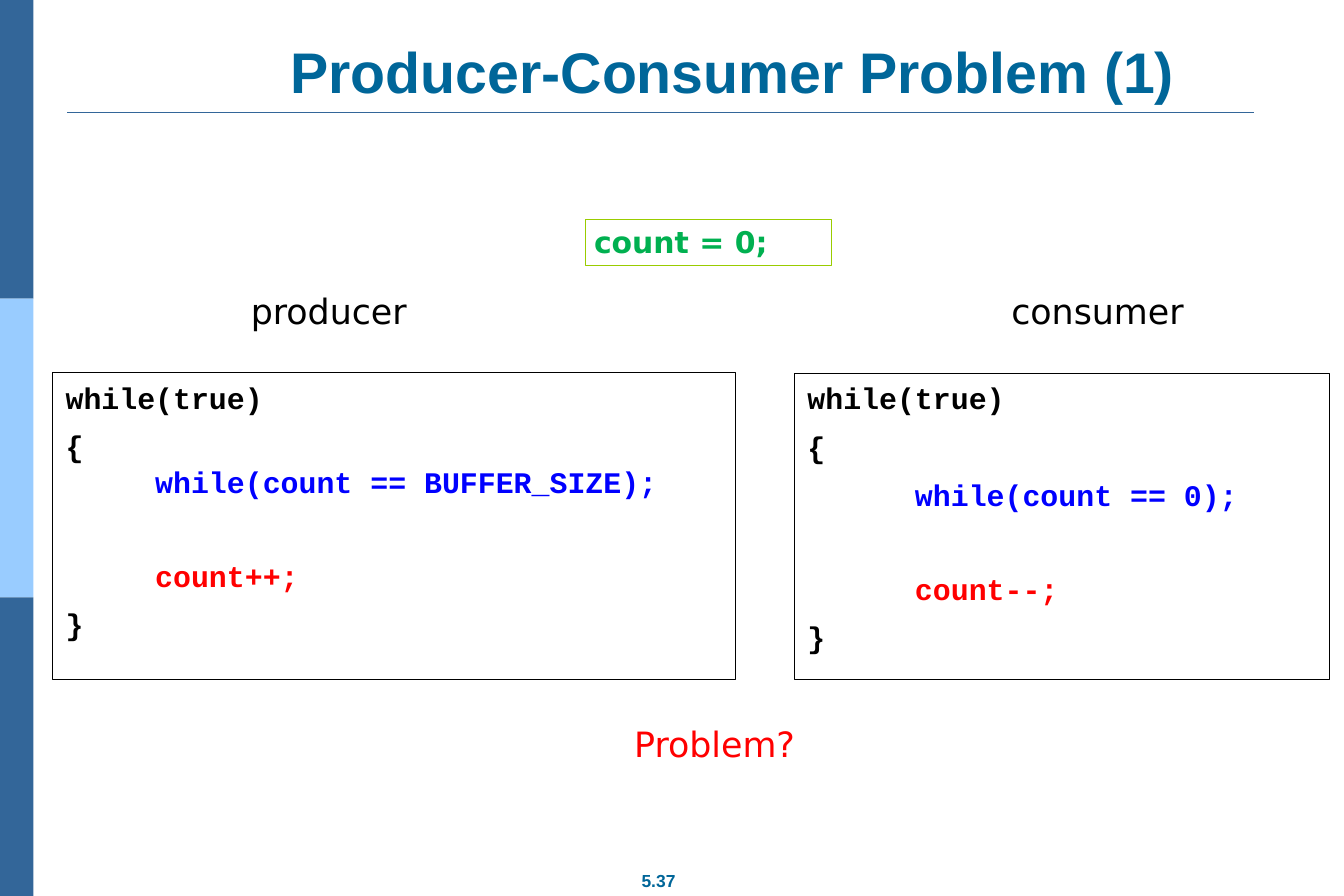
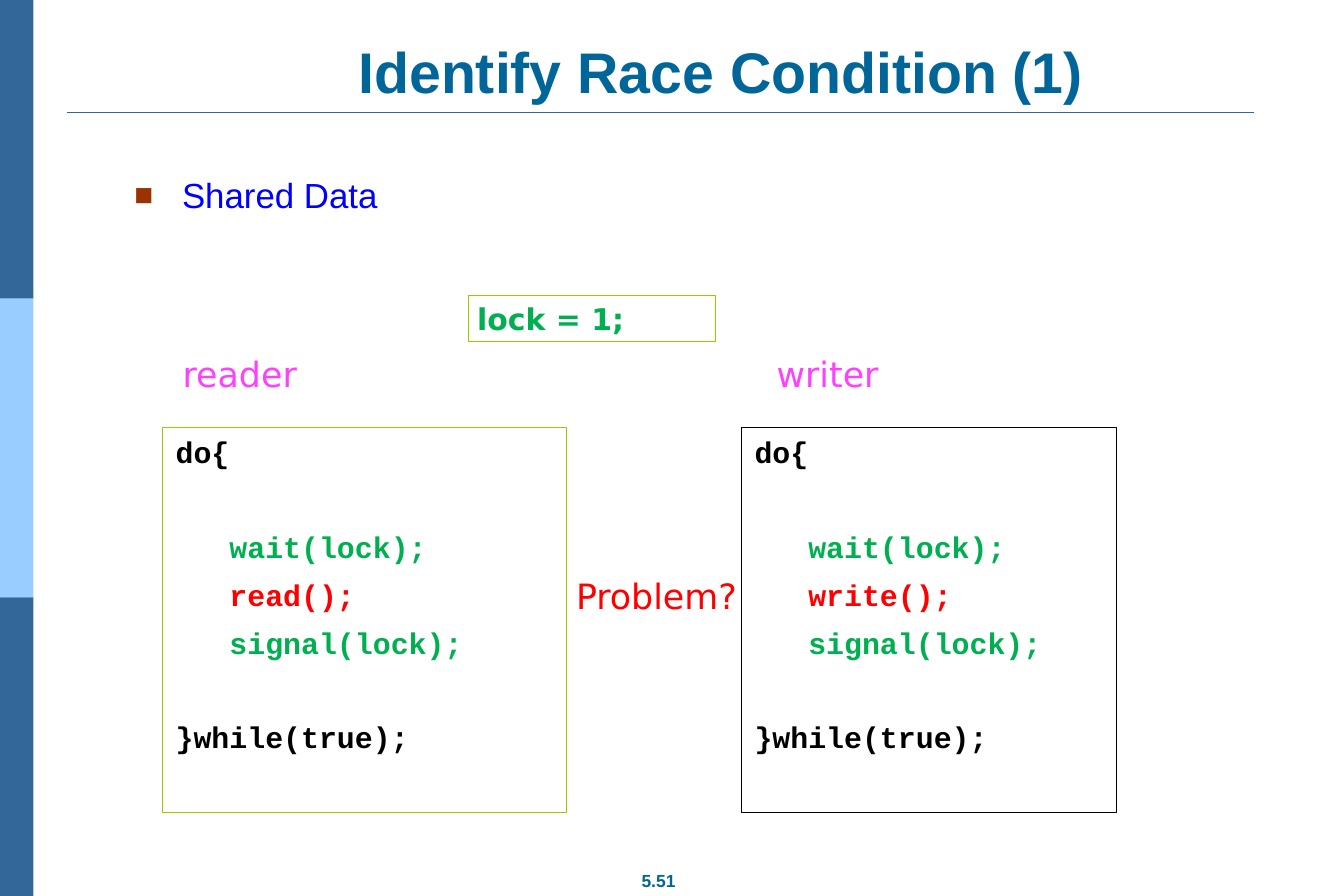
from lxml import etree
from pptx import Presentation
from pptx.dml.color import RGBColor
from pptx.enum.shapes import MSO_CONNECTOR, MSO_SHAPE
from pptx.enum.text import MSO_ANCHOR, MSO_AUTO_SIZE, PP_ALIGN
from pptx.oxml.ns import qn
from pptx.util import Cm, Pt

# Shared style
BLACK, BLUE, RED, GREEN, PINK = "000000", "0000FF", "FF0000", "00B050", "FF40FF"
TITLE_BLUE, BAND_DARK, BAND_LIGHT = "006699", "336699", "99CCFF"
LIME, BULLET_BROWN = "99CC00", "993300"
HEADING_FONT, CODE_FONT, LABEL_FONT = "Arial", "Courier New", "DejaVu Sans"
SLIDE_WIDTH, SLIDE_HEIGHT = 38.1, 25.4
TITLE_RIGHT = 36.19
WIDE_INSETS = (0.36, 0.18)
PLAIN_INSETS = (0.25, 0.13)

# Space before a code line, in points: joined, normal, after an empty line
JOINED, NORMAL, SKIPPED = 0, 10, 47


def rgb(colour):
    return RGBColor.from_string(colour)


def place(shape, left, top, width, height):
    shape.left, shape.top = Cm(left), Cm(top)
    shape.width, shape.height = Cm(width), Cm(height)


def prepare_frame(shape, insets, anchor=MSO_ANCHOR.TOP, wrap=True):
    frame = shape.text_frame
    frame.auto_size = MSO_AUTO_SIZE.NONE
    frame.word_wrap = wrap
    frame.vertical_anchor = anchor
    frame.margin_left = frame.margin_right = Cm(insets[0])
    frame.margin_top = frame.margin_bottom = Cm(insets[1])
    return frame


def add_run(paragraph, text, size, font, colour, bold=False):
    run = paragraph.add_run()
    run.text = text
    run.font.size = Pt(size)
    run.font.name = font
    run.font.bold = bold
    run.font.color.rgb = rgb(colour)


def add_rectangle(slide, box, fill=None, line=None):
    shape = slide.shapes.add_shape(MSO_SHAPE.RECTANGLE, *map(Cm, box))
    shape.shadow.inherit = False
    if fill:
        shape.fill.solid()
        shape.fill.fore_color.rgb = rgb(fill)
    else:
        shape.fill.background()
    if line:
        shape.line.color.rgb = rgb(line)
        shape.line.width = Pt(0.75)
    else:
        shape.line.fill.background()
    return shape


def add_master_parts(presentation, slide):
    """Draw the side bands and title rule, then move them to the master."""
    band_height = SLIDE_HEIGHT / 3
    parts = [
        add_rectangle(slide, (0, index * band_height, 0.95, band_height), fill)
        for index, fill in enumerate((BAND_DARK, BAND_LIGHT, BAND_DARK))
    ]
    rule = slide.shapes.add_connector(
        MSO_CONNECTOR.STRAIGHT, Cm(1.9), Cm(3.19), Cm(35.56), Cm(3.19))
    rule.line.color.rgb = rgb(BAND_DARK)
    rule.line.width = Pt(1.5)
    etree.SubElement(rule.element.spPr, qn("a:effectLst"))
    for number, part in enumerate(parts + [rule], start=101):
        part.element.xpath(".//p:cNvPr")[0].set("id", str(number))
        presentation.slide_master.shapes.element.append(part.element)


def set_title(slide, text, left):
    title = slide.shapes.title
    place(title, left, 1.02, TITLE_RIGHT - left, 2.13)
    paragraph = prepare_frame(title, WIDE_INSETS, MSO_ANCHOR.BOTTOM).paragraphs[0]
    paragraph.alignment = PP_ALIGN.CENTER
    add_run(paragraph, text, 46, HEADING_FONT, TITLE_BLUE, bold=True)


def add_page_number(slide, text):
    shape = slide.shapes.add_textbox(Cm(17.78), Cm(24.49), Cm(1.78), Cm(0.95))
    paragraph = prepare_frame(shape, WIDE_INSETS, wrap=False).paragraphs[0]
    paragraph.alignment = PP_ALIGN.CENTER
    add_run(paragraph, text, 14, HEADING_FONT, TITLE_BLUE, bold=True)


def set_bullet(slide, text):
    body = slide.placeholders[1]
    place(body, 3.45, 4.75, 31.93, 2.29)
    paragraph = prepare_frame(body, WIDE_INSETS).paragraphs[0]
    properties = paragraph._p.get_or_add_pPr()
    properties.set("marL", str(Cm(1.35)))
    properties.set("indent", str(-Cm(1.35)))
    colour = etree.SubElement(properties, qn("a:buClr"))
    etree.SubElement(colour, qn("a:srgbClr"), val=BULLET_BROWN)
    etree.SubElement(properties, qn("a:buSzPct"), val="90000")
    etree.SubElement(properties, qn("a:buFont"), typeface=HEADING_FONT)
    etree.SubElement(properties, qn("a:buChar"), char="■")
    paragraph.space_before = Pt(0)
    add_run(paragraph, text, 28, HEADING_FONT, BLUE)


def add_label(slide, text, left, top, colour, width=8.51):
    shape = slide.shapes.add_textbox(Cm(left), Cm(top), Cm(width), Cm(1.45))
    paragraph = prepare_frame(shape, PLAIN_INSETS).paragraphs[0]
    add_run(paragraph, text, 28, LABEL_FONT, colour)


def add_variable(slide, text, left, top):
    shape = add_rectangle(slide, (left, top, 6.99, 1.3), line=LIME)
    paragraph = prepare_frame(shape, PLAIN_INSETS).paragraphs[0]
    paragraph.alignment = PP_ALIGN.LEFT
    add_run(paragraph, text, 24, LABEL_FONT, GREEN, bold=True)


def add_code(slide, box, lines, line=BLACK):
    """Each line of code is (text, colour, space before)."""
    frame = prepare_frame(add_rectangle(slide, box, line=line), WIDE_INSETS)
    for index, (text, colour, space) in enumerate(lines):
        paragraph = frame.add_paragraph() if index else frame.paragraphs[0]
        paragraph.alignment = PP_ALIGN.LEFT
        paragraph.space_before = Pt(space)
        add_run(paragraph, text, 24, CODE_FONT, colour, bold=True)


def loop_code(wait, action, wait_space):
    return [
        ("while(true)", BLACK, 0),
        ("{", BLACK, NORMAL),
        (wait, BLUE, wait_space),
        (action, RED, SKIPPED),
        ("}", BLACK, NORMAL),
    ]


def locked_code(action):
    return [
        ("do{", BLACK, 0),
        ("   wait(lock);", GREEN, SKIPPED),
        (f"   {action}", RED, NORMAL),
        ("   signal(lock);", GREEN, NORMAL),
        ("}while(true);", BLACK, SKIPPED),
    ]


def build_producer_consumer(slide):
    set_title(slide, "Producer-Consumer Problem (1)", 5.33)
    add_code(slide, (1.5, 10.57, 19.35, 8.69),
             loop_code("     while(count == BUFFER_SIZE);", "     count++;", JOINED))
    add_code(slide, (22.53, 10.59, 15.16, 8.66),
             loop_code("      while(count == 0);", "      count--;", NORMAL))
    add_label(slide, "producer", 6.86, 8.08, BLACK)
    add_label(slide, "consumer", 28.42, 8.08, BLACK)
    add_label(slide, "Problem?", 17.73, 20.37, RED, width=10.69)
    add_variable(slide, "count = 0;", 16.59, 6.22)
    add_page_number(slide, "5.37")


def build_race_condition(slide):
    set_title(slide, "Identify Race Condition (1)", 4.67)
    set_bullet(slide, "Shared Data")
    add_code(slide, (4.62, 12.12, 11.43, 10.92), locked_code("read();"), line=LIME)
    add_code(slide, (21.03, 12.12, 10.62, 10.92), locked_code("write();"))
    add_label(slide, "reader", 4.93, 9.86, PINK)
    add_label(slide, "writer", 21.77, 9.86, PINK)
    add_variable(slide, "lock = 1;", 13.28, 8.38)
    add_label(slide, "Problem?", 16.08, 16.15, RED, width=10.69)
    add_page_number(slide, "5.51")


def main():
    presentation = Presentation()
    presentation.slide_width, presentation.slide_height = Cm(SLIDE_WIDTH), Cm(SLIDE_HEIGHT)
    layouts = presentation.slide_layouts
    producer_slide = presentation.slides.add_slide(layouts[5])
    add_master_parts(presentation, producer_slide)
    build_producer_consumer(producer_slide)
    build_race_condition(presentation.slides.add_slide(layouts[1]))
    presentation.save("out.pptx")


if __name__ == "__main__":
    main()
